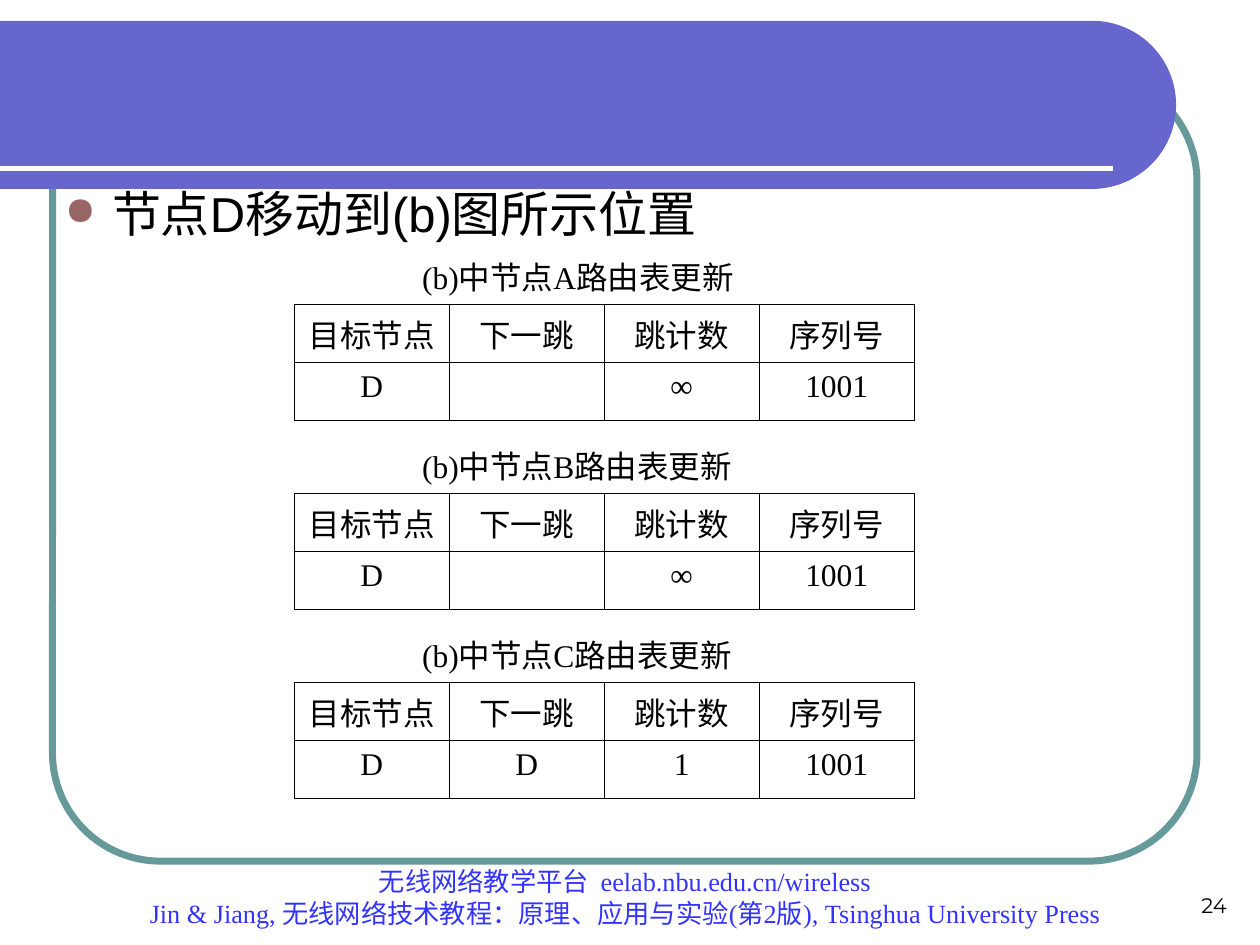
from math import cos, pi, sin

from lxml.etree import SubElement
from pptx import Presentation
from pptx.dml.color import RGBColor
from pptx.enum.shapes import MSO_CONNECTOR, MSO_SHAPE
from pptx.enum.text import MSO_ANCHOR, MSO_AUTO_SIZE, PP_ALIGN
from pptx.oxml.ns import qn
from pptx.util import Cm, Pt

HUES = {
    "band": "6666CC", "frame": "669999", "rule": "FFFFFF",
    "ink": "000000", "link": "3333FF", "dot": "996666",
}
SERIF, SANS = "Times New Roman", "Arial"
HEAD = ["目标节点", "下一跳", "跳计数", "序列号"]
ROUTES = [
    ("A", ["D", "", "∞", "1001"]),
    ("B", ["D", "", "∞", "1001"]),
    ("C", ["D", "D", "1", "1001"]),
]


def hue(key):
    return RGBColor.from_string(HUES[key])


def add_run(para, text, size, face, tone="ink"):
    run = para.add_run()
    run.text = text
    font = run.font
    font.size, font.name, font.bold = Pt(size), face, False
    font.color.rgb = hue(tone)


def add_box(slide, x, y, w, h, anchor=MSO_ANCHOR.TOP):
    frame = slide.shapes.add_textbox(Cm(x), Cm(y), Cm(w), Cm(h)).text_frame
    frame.word_wrap = True
    frame.vertical_anchor = anchor
    return frame


def add_frame(slide, x, y, w, h):
    shape = slide.shapes.add_shape(
        MSO_SHAPE.ROUNDED_RECTANGLE, Cm(x), Cm(y), Cm(w), Cm(h))
    shape.adjustments[0] = 0.137
    shape.shadow.inherit = False
    shape.fill.background()
    shape.line.color.rgb = hue("frame")
    shape.line.width = Pt(4)


def add_band(slide, x, y, w, h):
    # Bar with a half-round right end
    rad, steps = h / 2, 48
    mid = x + w - rad
    turns = [pi * (i / steps - 0.5) for i in range(steps + 1)]
    arc = [(Cm(mid + rad * cos(t)), Cm(y + rad + rad * sin(t))) for t in turns]
    pen = slide.shapes.build_freeform(Cm(x), Cm(y))
    pen.add_line_segments(arc + [(Cm(x), Cm(y + h))], close=True)
    shape = pen.convert_to_shape()
    shape.shadow.inherit = False
    shape.fill.solid()
    shape.fill.fore_color.rgb = hue("band")
    shape.line.fill.background()

    # White rule near the lower edge
    low = Cm(y + h - 0.42)
    rule = slide.shapes.add_connector(
        MSO_CONNECTOR.STRAIGHT, Cm(x), low, Cm(x + w - 1.27), low)
    rule.line.color.rgb = hue("rule")
    rule.line.width = Pt(3)
    SubElement(rule._element.spPr, qn("a:effectLst"))


def add_point(slide, x, y, w, h):
    para = add_box(slide, x, y, w, h).paragraphs[0]
    props = para._p.get_or_add_pPr()
    props.set("marL", str(Cm(0.95)))
    props.set("indent", str(-Cm(0.95)))
    tint = SubElement(props, qn("a:buClr"))
    SubElement(tint, qn("a:srgbClr"), val=HUES["dot"])
    SubElement(props, qn("a:buSzPct"), val="80000")
    SubElement(props, qn("a:buChar"), char="●")
    para.line_spacing = 0.8
    add_run(para, "节点D移动到(b)图所示位置", 28, SANS)


def edge_cell(cell):
    props = cell._tc.get_or_add_tcPr()
    for side in ("lnL", "lnR", "lnT", "lnB"):
        line = SubElement(props, qn("a:" + side), w=str(Pt(0.45)))
        fill = SubElement(line, qn("a:solidFill"))
        SubElement(fill, qn("a:srgbClr"), val=HUES["ink"])
    cell.fill.background()


def add_route(slide, x, y, w, h, node, row):
    # Caption above the grid
    cap = add_box(slide, x + 2.33, y, 7.24, 1.02)
    cap.word_wrap = False
    cap.auto_size = MSO_AUTO_SIZE.SHAPE_TO_FIT_TEXT
    add_run(cap.paragraphs[0], f"(b)中节点{node}路由表更新", 18, SERIF)

    # Grid
    gap = 1.06
    table = slide.shapes.add_table(
        2, len(HEAD), Cm(x), Cm(y + gap), Cm(w), Cm(h - gap)).table
    table.first_row = table.horz_banding = False
    for r, texts in enumerate((HEAD, row)):
        for c, text in enumerate(texts):
            cell = table.cell(r, c)
            edge_cell(cell)
            para = cell.text_frame.paragraphs[0]
            para.alignment = PP_ALIGN.CENTER
            if text:
                add_run(para, text, 18, SANS if text == HEAD[-1] else SERIF)


def add_foot(slide, x, y, w, h):
    frame = add_box(slide, x, y, w, h, MSO_ANCHOR.BOTTOM)
    lines = [
        "无线网络教学平台  eelab.nbu.edu.cn/wireless",
        "Jin & Jiang, 无线网络技术教程：原理、应用与实验(第2版), "
        "Tsinghua University Press",
    ]
    for i, text in enumerate(lines):
        para = frame.add_paragraph() if i else frame.paragraphs[0]
        para.alignment = PP_ALIGN.CENTER
        add_run(para, text, 15, SERIF, "link")


def add_count(slide, x, y, w, h):
    para = add_box(slide, x, y, w, h, MSO_ANCHOR.BOTTOM).paragraphs[0]
    para.alignment = PP_ALIGN.RIGHT
    add_run(para, "24", 12, "Montserrat")


def main():
    deck = Presentation()
    deck.slide_width, deck.slide_height = Cm(25.4), Cm(19.05)
    slide = deck.slides.add_slide(deck.slide_layouts[6])

    # Backdrop
    add_frame(slide, 1.06, 1.48, 23.07, 15.88)
    add_band(slide, 0, 0.42, 23.71, 3.39)

    # Content
    add_point(slide, 1.06, 3.81, 20.53, 1.27)
    for i, (node, row) in enumerate(ROUTES):
        add_route(slide, 5.93, 5.08 + 3.81 * i, 12.5, 3.4, node, row)

    # Footer
    add_foot(slide, 1.91, 17.78, 21.38, 1.06)
    add_count(slide, 19.05, 17.36, 5.93, 1.27)
    deck.save("out.pptx")


if __name__ == "__main__":
    main()
